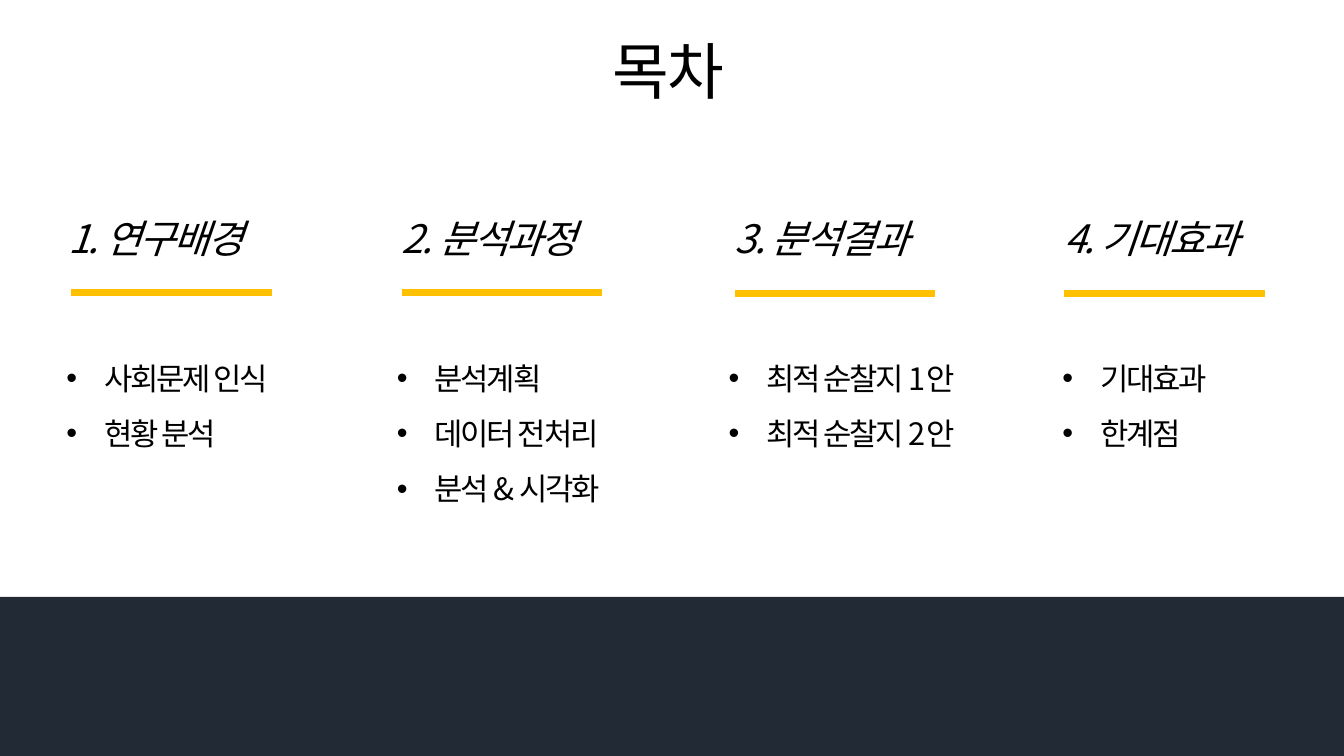
from dataclasses import dataclass
from lxml.etree import SubElement
from pptx import Presentation
from pptx.dml.color import RGBColor
from pptx.enum.shapes import MSO_CONNECTOR, MSO_SHAPE
from pptx.enum.text import MSO_ANCHOR, MSO_AUTO_SIZE, PP_ALIGN
from pptx.oxml.ns import qn
from pptx.util import Cm, Pt

FACE = "Noto Sans CJK KR"
FRAME = {"word_wrap": True, "auto_size": MSO_AUTO_SIZE.SHAPE_TO_FIT_TEXT,
         "vertical_anchor": MSO_ANCHOR.TOP}
FONT = {"name": FACE, "bold": False, "italic": False}
LIST = {"line_spacing": 1.5, "space_before": Pt(0)}


@dataclass
class Part:
    """One column of the contents: a heading, its rule and its list."""
    head: str
    items: list[str]
    head_x: float
    rule_x: float
    rule_y: float
    list_x: float
    list_w: float


PARTS = [
    Part("1. 연구배경", ["사회문제 인식", "현황 분석"],
         1.47, 1.8, 7.37, 1.42, 6.45),
    Part("2. 분석과정", ["분석계획", "데이터 전처리", "분석 & 시각화"],
         9.88, 10.13, 7.37, 9.75, 7.04),
    Part("3. 분석결과", ["최적 순찰지 1안", "최적 순찰지 2안"],
         18.26, 18.52, 7.39, 18.11, 7.04),
    Part("4. 기대효과", ["기대효과", "한계점"],
         26.57, 26.82, 7.39, 26.52, 5.97),
]


def color(code: str) -> RGBColor:
    """Turn a hex string into a colour."""
    return RGBColor.from_string(code)


def apply(obj, values: dict) -> None:
    """Set each named attribute on the object."""
    for name, value in values.items():
        setattr(obj, name, value)


def place(shape, x: float, y: float, w: float, h: float) -> None:
    """Move and size a shape, in centimetres."""
    apply(shape, {"left": Cm(x), "top": Cm(y), "width": Cm(w), "height": Cm(h)})


def write(shape, lines: list[str], size: int, **extra) -> None:
    """Fill a shape with left-aligned paragraphs in the deck's type."""
    frame = shape.text_frame
    frame.text = "\n".join(lines)
    apply(frame, FRAME)
    for para in frame.paragraphs:
        para.alignment = PP_ALIGN.LEFT
        for run in para.runs:
            apply(run.font, FONT | {"size": Pt(size)} | extra)
            run.font.color.rgb = color("000000")
            props = run.font._element
            props.set("spc", "-150")
            SubElement(props, qn("a:ea"), typeface=FACE)


def bullet(shape) -> None:
    """Give every paragraph a hanging bullet and wide lines."""
    for para in shape.text_frame.paragraphs:
        apply(para, LIST)
        props = para._p.get_or_add_pPr()
        props.set("marL", str(Cm(0.95)))
        props.set("indent", str(-Cm(0.95)))
        SubElement(props, qn("a:buFont"), typeface="Arial")
        SubElement(props, qn("a:buChar"), char="•")


def rule(slide, x: float, y: float) -> None:
    """Draw the yellow rule under a heading."""
    line = slide.shapes.add_connector(
        MSO_CONNECTOR.STRAIGHT, Cm(x), Cm(y), Cm(x + 5.05), Cm(y))
    line.line.color.rgb = color("FFC000")
    line.line.width = Pt(5)
    SubElement(line._element.spPr, qn("a:effectLst"))


def column(slide, part: Part, body) -> None:
    """Draw one column, with its list in the body placeholder."""
    head = slide.shapes.add_textbox(0, 0, 0, 0)
    place(head, part.head_x, 5.28, 5.97, 1.45)
    write(head, [part.head], 28, italic=True)
    rule(slide, part.rule_x, part.rule_y)
    place(body, part.list_x, 8.46, part.list_w, 1.4 + 1.55 * (len(part.items) - 1))
    write(body, part.items, 22)
    bullet(body)


def band(slide) -> None:
    """Draw the dark band along the foot of the slide."""
    foot = slide.shapes.add_shape(MSO_SHAPE.RECTANGLE, 0, 0, 0, 0)
    place(foot, 0, 15.04, 33.87, 4.01)
    foot.shadow.inherit = False
    foot.fill.solid()
    foot.fill.fore_color.rgb = color("222A35")
    foot.line.fill.background()


def main() -> None:
    """Build and save the contents slide."""
    deck = Presentation()
    apply(deck, {"slide_width": Cm(33.87), "slide_height": Cm(19.05)})
    slide = deck.slides.add_slide(deck.slide_layouts.get_by_name("Comparison"))
    title, *bodies = slide.placeholders
    place(title, 15.19, 0.69, 3.68, 2.13)
    write(title, ["목차"], 44)
    for part, body in zip(PARTS, bodies):
        column(slide, part, body)
    band(slide)
    deck.save("out.pptx")


if __name__ == "__main__":
    main()
